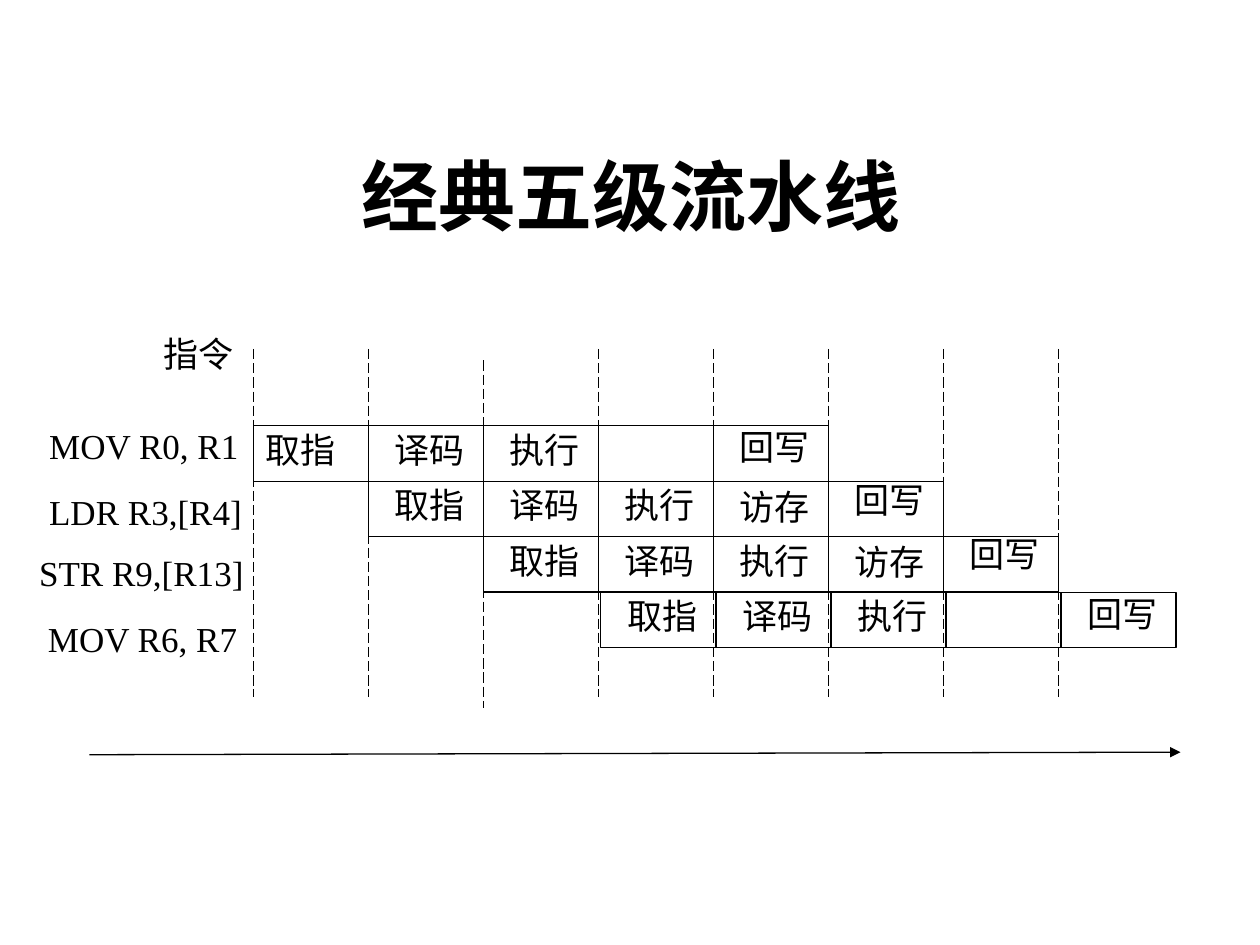
from lxml import etree
from pptx import Presentation
from pptx.dml.color import RGBColor
from pptx.enum.dml import MSO_LINE
from pptx.enum.shapes import MSO_CONNECTOR, MSO_SHAPE
from pptx.enum.text import MSO_ANCHOR, PP_ALIGN
from pptx.oxml.ns import qn
from pptx.util import Inches, Pt

STRAIGHT = MSO_CONNECTOR.STRAIGHT
RECTANGLE = MSO_SHAPE.RECTANGLE
LONG_DASH = MSO_LINE.LONG_DASH
TOP, MIDDLE = MSO_ANCHOR.TOP, MSO_ANCHOR.MIDDLE
LEFT, CENTER = PP_ALIGN.LEFT, PP_ALIGN.CENTER

FONT = "Times New Roman"
BLACK = "000000"
LINE_WIDTH = 0.75

# Pipeline grid, in inches
CYCLES = 7
CYCLE_WIDTH = (8.40 - 2.01) / CYCLES
STAGE_HEIGHT = 0.44
FETCH, DECODE, EXECUTE, MEMORY, WRITE = "取指", "译码", "执行", "访存", "回写"

# Instruction, its label's left and top and width, its memory stage,
# the offset of its row and of its write-back text
INSTRUCTIONS = [
    ("MOV R0, R1", (0.39, 3.37, 1.51), "", 0, 0),
    ("LDR R3,[R4]", (0.39, 3.89, 1.64), MEMORY, 0, -0.02),
    ("STR R9,[R13]", (0.31, 4.38, 1.72), MEMORY, 0, -0.03),
    ("MOV R6, R7", (0.38, 4.90, 1.58), "", 0.02, 0),
]


def color(value):
    return RGBColor.from_string(value)


def add_text(page, text, left, top, width, height, size=20, bold=False,
             align=LEFT, anchor=TOP, margin=0):
    box = page.shapes.add_textbox(Inches(left), Inches(top), Inches(width), Inches(height))
    frame = box.text_frame
    frame.word_wrap = True
    frame.vertical_anchor = anchor
    frame.margin_left = frame.margin_right = Inches(margin)
    frame.margin_top = frame.margin_bottom = Inches(margin / 2)
    para = frame.paragraphs[0]
    para.alignment = align
    span = para.add_run()
    span.text = text
    span.font.name = FONT
    span.font.size = Pt(size)
    span.font.bold = bold
    span.font.color.rgb = color(BLACK)


def add_line(page, start, end, dash=None, arrow=False):
    line = page.shapes.add_connector(STRAIGHT, *(Inches(v) for v in start + end))
    line.line.color.rgb = color(BLACK)
    line.line.width = Pt(LINE_WIDTH)
    if dash is not None:
        line.line.dash_style = dash
    if arrow:
        etree.SubElement(line.line._get_or_add_ln(), qn("a:tailEnd"), type="triangle")
    etree.SubElement(line._element.spPr, qn("a:effectLst"))


def add_stage(page, text, left, top, text_left, text_top):
    """One stage cell with its name placed relative to the cell."""
    cell = page.shapes.add_shape(RECTANGLE, Inches(left), Inches(top),
                                 Inches(CYCLE_WIDTH), Inches(STAGE_HEIGHT))
    cell.shadow.inherit = False
    cell.fill.background()
    cell.line.color.rgb = color(BLACK)
    cell.line.width = Pt(LINE_WIDTH)
    if text:
        add_text(page, text, left + text_left, top + text_top, 0.70, 0.52)


def add_cycle_lines(page, left, top, height):
    for cycle in range(CYCLES + 1):
        x = left + cycle * CYCLE_WIDTH
        y = top + (0.09 if cycle == 2 else 0)
        add_line(page, (x, y), (x, y + height), dash=LONG_DASH)


def add_pipeline(page, left, top):
    """Each instruction starts one cycle after the one above it."""
    for row, (name, label, memory, shift, write_top) in enumerate(INSTRUCTIONS):
        add_text(page, name, *label, 0.43)
        for step, stage in enumerate([FETCH, DECODE, EXECUTE, memory, WRITE]):
            text_left = 0.10 if row == step == 0 else 0.21
            text_top = {MEMORY: 0.03, WRITE: write_top}.get(stage, 0.02)
            add_stage(page, stage, left + shift + (row + step) * CYCLE_WIDTH,
                      top + row * STAGE_HEIGHT, text_left, text_top)


deck = Presentation()
deck.slide_width, deck.slide_height = Inches(10), Inches(7.5)
page = deck.slides.add_slide(deck.slide_layouts[6])

# Title and column heading
add_text(page, "经典五级流水线", 0.51, 0.92, 9, 1.25, size=44, bold=True,
         align=CENTER, anchor=MIDDLE, margin=0.1)
add_text(page, "指令", 1.30, 2.64, 0.59, 0.43)

# Pipeline diagram and time axis
add_cycle_lines(page, 2.01, 2.77, 2.76)
add_pipeline(page, 2.01, 3.38)
add_line(page, (0.71, 5.99), (9.37, 5.97), arrow=True)

deck.save("out.pptx")
